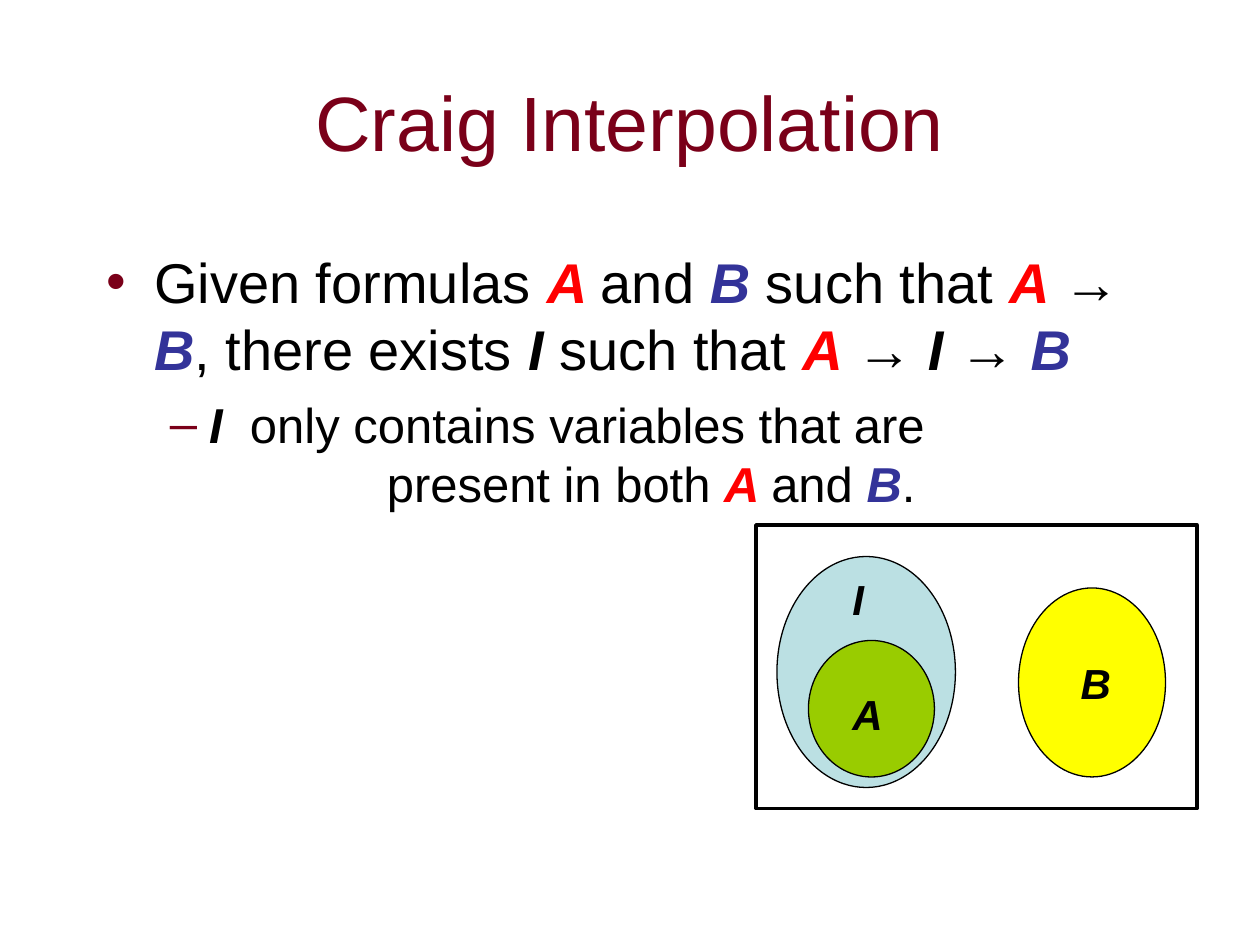
from lxml.etree import SubElement
from pptx import Presentation
from pptx.dml.color import RGBColor
from pptx.enum.shapes import MSO_SHAPE
from pptx.enum.text import MSO_ANCHOR, PP_ALIGN
from pptx.oxml.ns import qn
from pptx.util import Pt

COLORS = {
    "maroon": "7A0019", "black": "000000", "white": "FFFFFF",
    "red": "FF0000", "navy": "333399", "pale": "BBE0E3",
    "green": "99CC00", "yellow": "FFFF00",
}
FORMATS = {
    "plain": ("black", {"bold": False, "italic": False}),
    "title": ("maroon", {"bold": False, "italic": False}),
    "arrow": ("black", {"bold": True, "italic": False}),
    "A": ("red", {"bold": True, "italic": True}),
    "B": ("navy", {"bold": True, "italic": True}),
    "I": ("black", {"bold": True, "italic": True}),
}
STATEMENT = [
    ("Given formulas ", "plain"), ("A ", "A"), ("and ", "plain"),
    ("B ", "B"), ("such that ", "plain"), ("A ", "A"), ("→ ", "arrow"),
    ("B", "B"), (", there exists ", "plain"), ("I ", "I"),
    ("such that ", "plain"), ("A ", "A"), ("→", "arrow"), (" I ", "I"),
    ("→ ", "arrow"), ("B", "B"),
]
CONDITION = [("I ", "I"), (" only contains variables that are", "plain")]
CONDITION_END = [
    ("present in both ", "plain"), ("A ", "A"), ("and ", "plain"),
    ("B", "B"), (".", "plain"),
]


def rgb(name):
    return RGBColor.from_string(COLORS[name])


def add_box(s, box):
    tf = s.shapes.add_textbox(*map(Pt, box)).text_frame
    tf.word_wrap = True
    return tf


def add_runs(p, runs, size):
    for text, style in runs:
        r = p.add_run()
        r.text = text
        color, values = FORMATS[style]
        for name, value in {"name": "Arial", "size": Pt(size), **values}.items():
            setattr(r.font, name, value)
        r.font.color.rgb = rgb(color)


def set_indent(p, margin, first=0, bullet=None):
    pPr = p._p.get_or_add_pPr()
    pPr.set("marL", str(Pt(margin)))
    pPr.set("indent", str(Pt(first)))
    if bullet:
        clr = SubElement(pPr, qn("a:buClr"))
        SubElement(clr, qn("a:srgbClr"), val=COLORS["maroon"])
        SubElement(pPr, qn("a:buFont"), typeface="Arial")
        SubElement(pPr, qn("a:buChar"), char=bullet)
    else:
        SubElement(pPr, qn("a:buNone"))


def add_title(s, box):
    tf = add_box(s, box)
    tf.vertical_anchor = MSO_ANCHOR.MIDDLE
    p = tf.paragraphs[0]
    p.alignment = PP_ALIGN.CENTER
    add_runs(p, [("Craig Interpolation", "title")], 44)


def add_body(s, box):
    tf = add_box(s, box)
    rows = [
        (STATEMENT, 32, 0, 0, (27, -27, "•")),
        (CONDITION, 28, 1, 7, (58.5, -22.5, "–")),
        (CONDITION_END, 28, 1, 0, (160,)),
    ]
    for i, (runs, size, level, before, indent) in enumerate(rows):
        p = tf.add_paragraph() if i else tf.paragraphs[0]
        p.level = level
        p.space_before = Pt(before)
        set_indent(p, *indent)
        add_runs(p, runs, size)


def add_diagram(s, box):
    left, top, width, height = box
    shapes = [
        (MSO_SHAPE.RECTANGLE, (0, 0, width, height), "white", 2),
        (MSO_SHAPE.OVAL, (12, 18, 102, 132), "pale", 0.75),
        (MSO_SHAPE.OVAL, (30, 66, 72, 78), "green", 0.75),
        (MSO_SHAPE.OVAL, (150, 36, 84, 108), "yellow", 0.75),
    ]
    for kind, (x, y, w, h), fill, line in shapes:
        sp = s.shapes.add_shape(kind, Pt(left + x), Pt(top + y), Pt(w), Pt(h))
        sp.shadow.inherit = False
        sp.fill.solid()
        sp.fill.fore_color.rgb = rgb(fill)
        sp.line.color.rgb = rgb("black")
        sp.line.width = Pt(line)
    labels = [("A", 48, 90, 30), ("I", 48, 24, 24), ("B", 178.5, 72, 31)]
    for text, x, y, w in labels:
        tf = add_box(s, (left + x, top + y, w, 36))
        add_runs(tf.paragraphs[0], [(text, "I")], 24)


def main():
    prs = Presentation()
    prs.slide_width, prs.slide_height = Pt(720), Pt(540)
    s = prs.slides.add_slide(prs.slide_layouts[6])
    add_title(s, (54, 24, 612, 90))
    add_body(s, (54, 138, 612, 312))
    add_diagram(s, (432, 300, 252, 162))
    prs.save("out.pptx")


if __name__ == "__main__":
    main()
